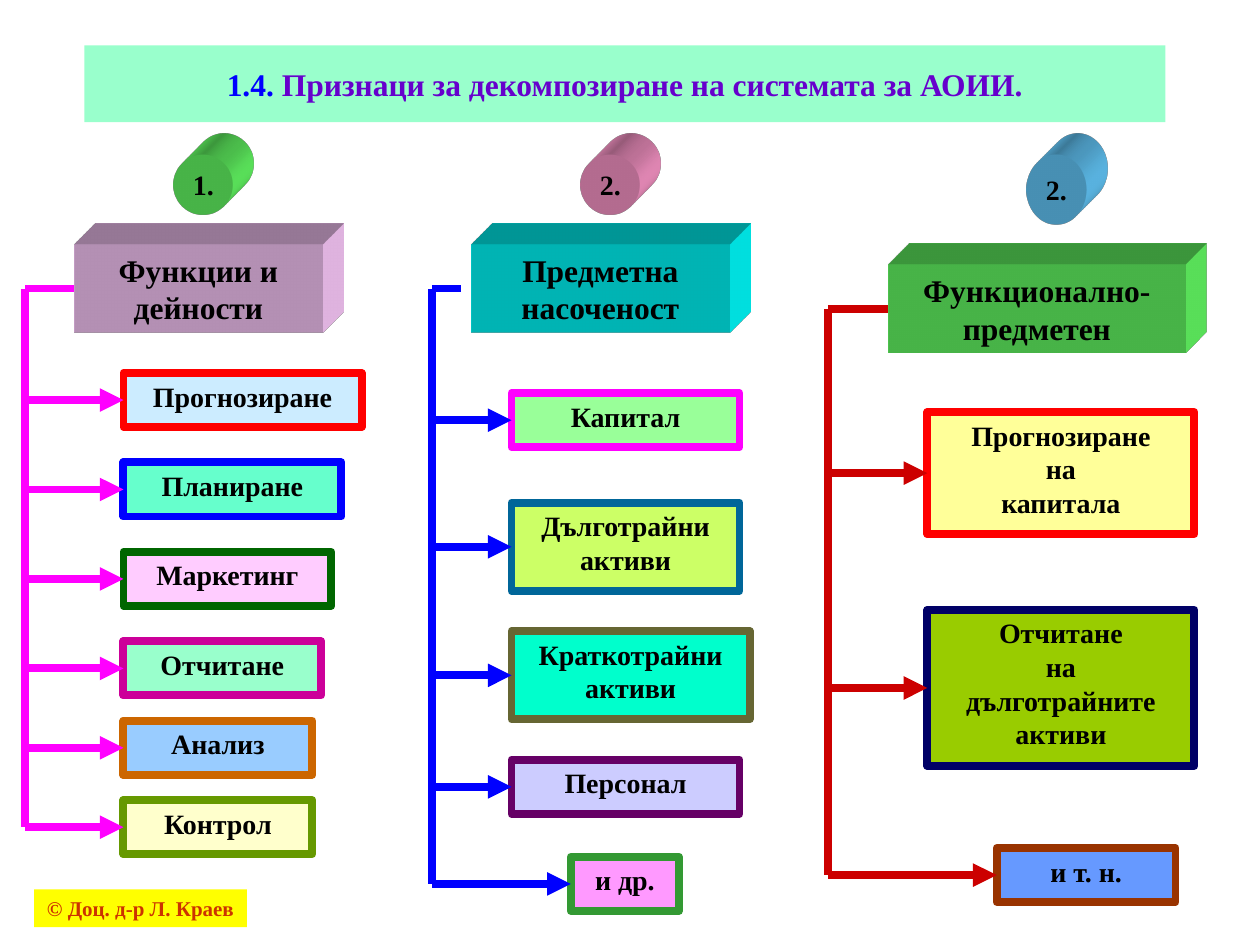
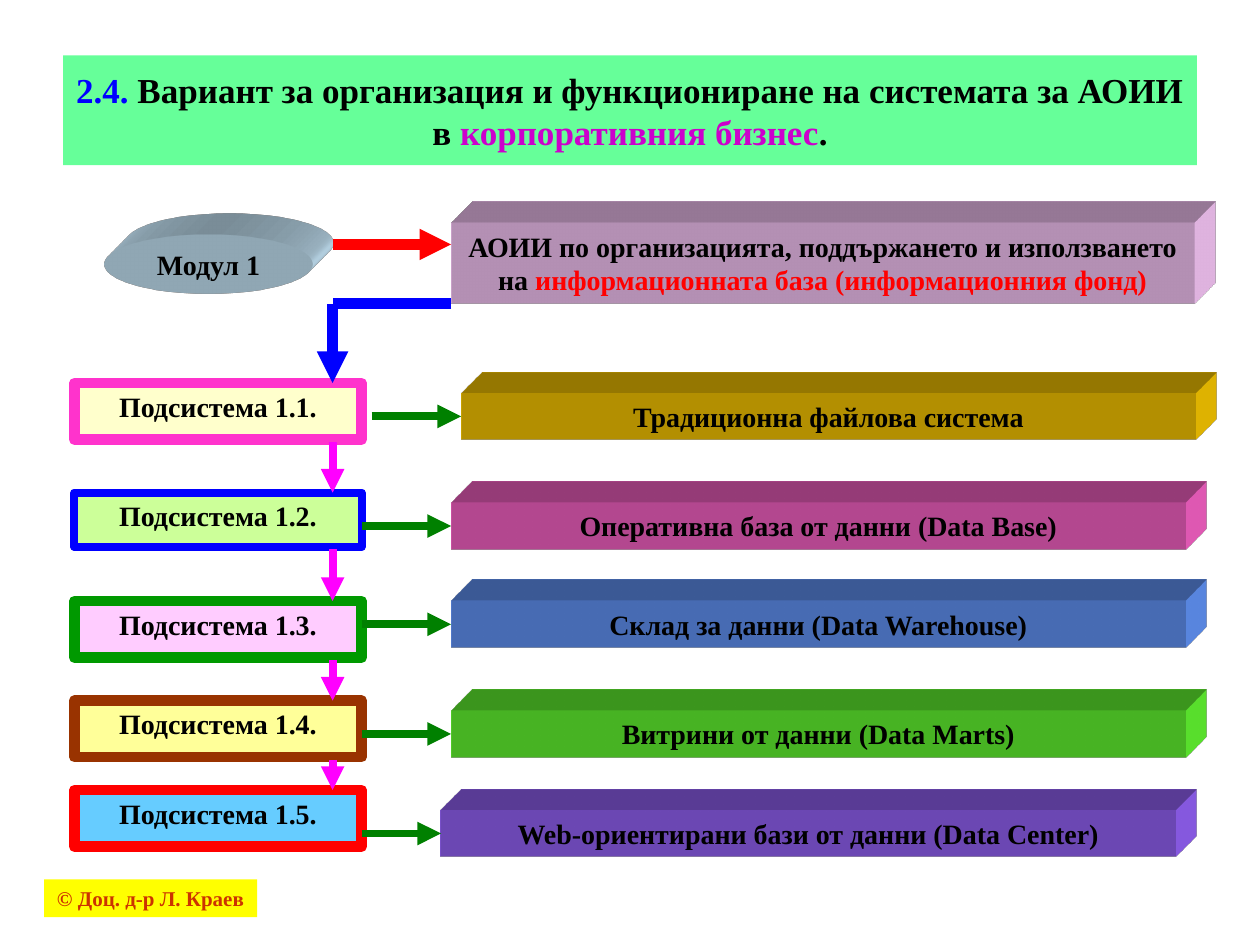
"""Builds two slides on decomposing and organising an information system."""
from itertools import pairwise

from lxml.etree import SubElement
from pptx import Presentation
from pptx.dml.color import RGBColor
from pptx.enum.shapes import MSO_CONNECTOR, MSO_SHAPE
from pptx.enum.text import MSO_ANCHOR, MSO_AUTO_SIZE, PP_ALIGN
from pptx.oxml import parse_xml
from pptx.oxml.ns import nsdecls, qn
from pptx.util import Inches, Pt

FONT = "Times New Roman"
BLACK = RGBColor(0x00, 0x00, 0x00)
BLUE = RGBColor(0x00, 0x00, 0xFF)
RED = RGBColor(0xFF, 0x00, 0x00)
DARK_RED = RGBColor(0xCC, 0x00, 0x00)
MAGENTA = RGBColor(0xFF, 0x00, 0xFF)
HOT_PINK = RGBColor(0xFF, 0x33, 0xCC)
ROSE = RGBColor(0xFF, 0x66, 0xCC)
PINK = RGBColor(0xFF, 0x99, 0xCC)
ORCHID = RGBColor(0xFF, 0x99, 0xFF)
PALE_PINK = RGBColor(0xFF, 0xCC, 0xFF)
CERISE = RGBColor(0xCC, 0x00, 0x99)
PURPLE = RGBColor(0xCC, 0x00, 0xCC)
PLUM = RGBColor(0x66, 0x00, 0x66)
VIOLET = RGBColor(0x66, 0x00, 0xCC)
LILAC = RGBColor(0x99, 0x66, 0xFF)
LAVENDER = RGBColor(0xCC, 0xCC, 0xFF)
NAVY = RGBColor(0x00, 0x00, 0x66)
STEEL = RGBColor(0x00, 0x66, 0x99)
CORNFLOWER = RGBColor(0x66, 0x99, 0xFF)
SKY = RGBColor(0x66, 0xCC, 0xFF)
LIGHT_BLUE = RGBColor(0x99, 0xCC, 0xFF)
PALE_BLUE = RGBColor(0xCC, 0xEC, 0xFF)
CYAN = RGBColor(0x00, 0xFF, 0xFF)
TURQUOISE = RGBColor(0x00, 0xFF, 0xCC)
AQUA = RGBColor(0x66, 0xFF, 0xCC)
MINT = RGBColor(0x99, 0xFF, 0xCC)
SPRING = RGBColor(0x66, 0xFF, 0x99)
LIGHT_GREEN = RGBColor(0x99, 0xFF, 0x99)
GREEN = RGBColor(0x66, 0xFF, 0x66)
GRASS = RGBColor(0x66, 0xFF, 0x33)
LEAF = RGBColor(0x00, 0x99, 0x00)
ARROW_GREEN = RGBColor(0x00, 0x80, 0x00)
DARK_GREEN = RGBColor(0x00, 0x66, 0x00)
SEA_GREEN = RGBColor(0x33, 0x99, 0x33)
OLIVE = RGBColor(0x66, 0x99, 0x00)
KHAKI = RGBColor(0x66, 0x66, 0x33)
LIME = RGBColor(0x99, 0xCC, 0x00)
YELLOW_GREEN = RGBColor(0xCC, 0xFF, 0x66)
PALE_LIME = RGBColor(0xCC, 0xFF, 0x99)
YELLOW = RGBColor(0xFF, 0xFF, 0x00)
LIGHT_YELLOW = RGBColor(0xFF, 0xFF, 0x99)
CREAM = RGBColor(0xFF, 0xFF, 0xCC)
GOLD = RGBColor(0xFF, 0xCC, 0x00)
ORANGE = RGBColor(0xCC, 0x66, 0x00)
BROWN = RGBColor(0x99, 0x33, 0x00)
RUST = RGBColor(0xCC, 0x33, 0x00)


class Board:
    """Holds the style and the current slide and draws each kind of element."""

    def __init__(self):
        self.deck = Presentation()
        self.deck.slide_width = Inches(10)
        self.deck.slide_height = Inches(7.5)
        self.page = None

    def label(self, shape, spans, size, anchor=MSO_ANCHOR.TOP, wrap=True):
        """Puts centred bold text, given as (text, colour) spans, into a shape."""
        frame = shape.text_frame
        frame.auto_size = MSO_AUTO_SIZE.NONE
        frame.word_wrap = wrap
        frame.vertical_anchor = anchor
        para = frame.paragraphs[0]
        for text, colour in spans:
            if len(spans) == 1:
                para.text = text
            else:
                para.add_run().text = text
            for span in para.runs[-1 - text.count("\n"):]:
                span.font.name = FONT
                span.font.size = Pt(size)
                span.font.bold = True
                span.font.color.rgb = colour
        para.alignment = PP_ALIGN.CENTER

    def start(self, left, top, width, height, fill, spans, size):
        """Opens a title-only slide with a filled title band."""
        self.page = self.deck.slides.add_slide(self.deck.slide_layouts[5])
        title = self.page.shapes.title
        title.left, title.top = Inches(left), Inches(top)
        title.width, title.height = Inches(width), Inches(height)
        title.fill.solid()
        title.fill.fore_color.rgb = fill
        self.label(title, spans, size, MSO_ANCHOR.MIDDLE)

    def shape(self, left, top, width, height, fill, kind=MSO_SHAPE.RECTANGLE):
        """Adds a plain filled shape without line or shadow."""
        shape = self.page.shapes.add_shape(
            kind, Inches(left), Inches(top), Inches(width), Inches(height))
        shape.shadow.inherit = False
        shape.fill.solid()
        shape.fill.fore_color.rgb = fill
        shape.line.fill.background()
        return shape

    def box(self, left, top, width, height, text, fill, border, weight=4.5):
        """Adds a bordered box with a label."""
        box = self.shape(left, top, width, height, fill)
        box.line.color.rgb = border
        box.line.width = Pt(weight)
        self.label(box, [(text, BLACK)], 16)
        return box

    def extrude(self, shape, colour):
        """Gives a shape a block depth towards the top right."""
        properties = shape._element.spPr
        properties.append(parse_xml(
            f'<a:scene3d {nsdecls("a")}><a:camera prst="legacyObliqueTopRight"/>'
            '<a:lightRig rig="legacyFlat3" dir="b"/></a:scene3d>'))
        properties.append(parse_xml(
            f'<a:sp3d {nsdecls("a")} extrusionH="430200" prstMaterial="legacyMatte">'
            f'<a:extrusionClr><a:srgbClr val="{colour}"/></a:extrusionClr></a:sp3d>'))

    def block(self, left, top, width, height, spans, fill, size=16):
        """Adds an extruded bar with text."""
        block = self.shape(left, top, width, height, fill)
        self.extrude(block, fill)
        self.label(block, spans, size)
        return block

    def drum(self, left, top, width, height, text, fill):
        """Adds an extruded ellipse with a centred label."""
        drum = self.shape(left, top, width, height, fill, MSO_SHAPE.OVAL)
        self.extrude(drum, fill)
        self.label(drum, [(text, BLACK)], 16, MSO_ANCHOR.MIDDLE, wrap=False)

    def line(self, start, end, colour, weight=4.5, arrow=True):
        """Adds a straight line between two points, with an optional arrowhead."""
        line = self.page.shapes.add_connector(MSO_CONNECTOR.STRAIGHT, *start, *end)
        line.line.color.rgb = colour
        line.line.width = Pt(weight)
        if arrow:
            SubElement(line.line._get_or_add_ln(), qn("a:tailEnd"), type="triangle")
        SubElement(line._element.spPr, qn("a:effectLst"))
        return line

    def arrow_into(self, x, target, colour):
        """Adds a level arrow from x to the middle of the target's left side."""
        y = middle(target)
        self.line((x, y), (target.left, y), colour).end_connect(target, 1)

    def tree(self, header, boxes, trunk, colour, gap=0):
        """Links a header to its boxes through a vertical trunk."""
        x, top = Inches(trunk), middle(header)
        stub = self.line((x, top), (header.left - Inches(gap), top), colour, arrow=False)
        if not gap:
            stub.end_connect(header, 1)
        self.line((x, top), (x, middle(boxes[-1])), colour, arrow=False)
        for box in boxes:
            self.arrow_into(x, box, colour)

    def credit(self, left, top):
        """Adds the author's line."""
        credit = self.shape(left, top, 1.69, 0.3, YELLOW)
        self.label(credit, [("© Доц. д-р Л. Краев", RUST)], 12, wrap=False)


def middle(shape):
    """Returns the height of a shape's centre on the slide."""
    return shape.top + shape.height // 2


COLUMNS = [
    (("1.", 1.38, 0.47, GREEN), ("Функции и\nдейности", 0.59, 1.94, 1.97, PALE_PINK),
     (0.2, MAGENTA, 0), [
        ("Прогнозиране", 0.98, 2.96, 1.89, PALE_BLUE, RED),
        ("Планиране", 0.98, 3.67, 1.73, AQUA, BLUE),
        ("Маркетинг", 0.98, 4.38, 1.65, PALE_PINK, DARK_GREEN),
        ("Отчитане", 0.98, 5.09, 1.57, MINT, CERISE),
        ("Анализ", 0.98, 5.72, 1.5, LIGHT_BLUE, ORANGE),
        ("Контрол", 0.98, 6.35, 1.5, CREAM, OLIVE)]),
    (("2.", 4.61, 0.47, PINK), ("Предметна\nнасоченост", 3.74, 1.94, 2.05, CYAN),
     (3.43, BLUE, 0.08), [
        ("Капитал", 4.06, 3.12, 1.81, LIGHT_GREEN, MAGENTA),
        ("Дълготрайни\nактиви", 4.06, 3.99, 1.81, YELLOW_GREEN, STEEL),
        ("Краткотрайни\nактиви", 4.06, 5.01, 1.89, TURQUOISE, KHAKI),
        ("Персонал", 4.06, 6.03, 1.81, LAVENDER, PLUM),
        ("и др.", 4.53, 6.8, 0.86, ORCHID, SEA_GREEN)]),
    (("2.", 8.15, 0.55, SKY), ("Функционално-\nпредметен", 7.05, 2.1, 2.36, GREEN),
     (6.57, DARK_RED, 0), [
        ("Прогнозиране\nна\nкапитала", 7.36, 3.27, 2.12, LIGHT_YELLOW, RED),
        ("Отчитане\nна\nдълготрайните\nактиви", 7.36, 4.84, 2.12, LIME, NAVY),
        ("и т. н.", 7.91, 6.73, 1.42, CORNFLOWER, BROWN)]),
]

SUBSYSTEMS = [
    (3.04, 0.45, CREAM, HOT_PINK, 6, "Традиционна файлова система", 3.66, 3.12, GOLD),
    (3.91, 0.43, PALE_LIME, BLUE, 4.5,
     "Оперативна база от данни (Data Base)", 3.58, 3.99, ROSE),
    (4.77, 0.45, PALE_PINK, LEAF, 6,
     "Склад за данни (Data Warehouse)", 3.58, 4.77, CORNFLOWER),
    (5.56, 0.45, LIGHT_YELLOW, BROWN, 6,
     "Витрини от данни (Data Marts)", 3.58, 5.64, GRASS),
    (6.27, 0.45, SKY, RED, 6,
     "Web-ориентирани бази от данни (Data Center)", 3.5, 6.43, LILAC),
]


def build_features(board):
    """Draws the three columns of decomposition features."""
    board.start(0.67, 0.36, 8.58, 0.61, MINT, [
        ("1.4.", BLUE), (" Признаци за декомпозиране на системата за АОИИ.", VIOLET)], 18)
    board.credit(0.27, 7.06)
    for number, heading, (trunk, colour, gap), items in COLUMNS:
        text, left, top, width, fill = heading
        header = board.block(left, top, width, 0.7, [(text, BLACK)], fill, 18)
        boxes = []
        for caption, left, top, width, fill, border in items:
            height = 0.43 + 0.27 * caption.count("\n")
            boxes.append(board.box(left, top, width, height, caption, fill, border))
        board.tree(header, boxes, trunk, colour, gap)
        text, left, height, fill = number
        board.drum(left, 1.23, 0.47, height, text, fill)


def build_module(board):
    """Draws the first module with its chain of subsystems."""
    board.start(0.5, 0.44, 9, 0.87, SPRING, [
        ("2.4.", BLUE),
        (" Вариант за организация и функциониране на системата за АОИИ в ", BLACK),
        ("корпоративния бизнес", PURPLE), (".", BLACK)], 20)
    board.credit(0.35, 6.98)
    board.drum(0.83, 1.86, 1.65, 0.47, "Модул 1", PALE_BLUE)
    purpose = board.block(3.58, 1.77, 5.9, 0.64, [
        ("АОИИ по организацията, поддържането и използването на ", BLACK),
        ("информационната база (информационния фонд)", RED)], PALE_PINK)

    boxes, bars = [], []
    for number, row in enumerate(SUBSYSTEMS, 1):
        top, height, fill, border, weight, text, bar_left, bar_top, bar_fill = row
        boxes.append(board.box(0.59, top, 2.28, height, f"Подсистема 1.{number}.",
                               fill, border, weight))
        bars.append(board.block(bar_left, bar_top, 5.83, 0.37, [(text, BLACK)], bar_fill))

    chain, bottom = Inches(2.64), purpose.top + purpose.height
    board.line((chain, Inches(1.94)), (purpose.left, Inches(1.94)), RED, 6)
    board.line((purpose.left, bottom), (chain, bottom), BLUE, 6, arrow=False)
    board.line((chain, bottom), (chain, boxes[0].top), BLUE, 6)
    for upper, lower in pairwise(boxes):
        start = upper.top + upper.height + Inches(0.02)
        board.line((chain, start), (chain, lower.top), MAGENTA)
    for number, bar in enumerate(bars):
        board.arrow_into(Inches(2.87 if number else 2.95), bar, ARROW_GREEN)


def main():
    """Builds both slides and saves the deck."""
    board = Board()
    build_features(board)
    build_module(board)
    board.deck.save("out.pptx")


if __name__ == "__main__":
    main()
